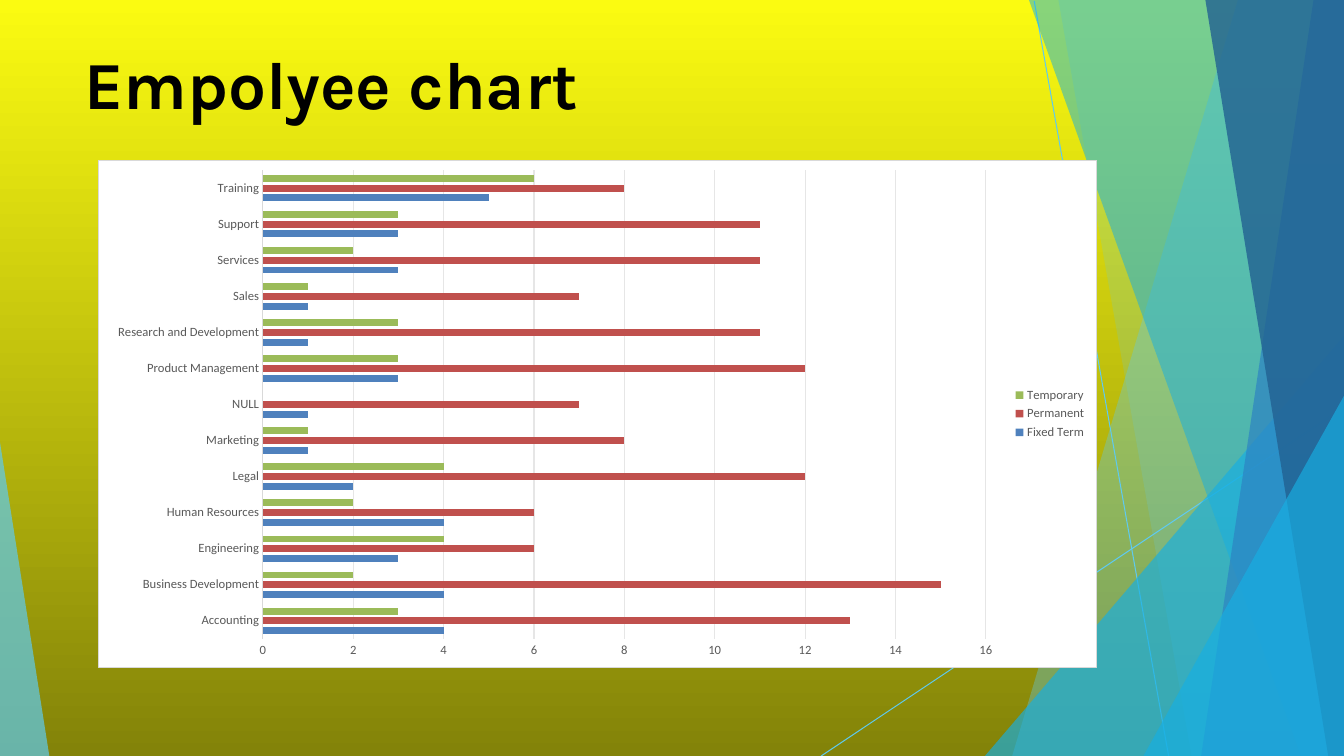
from dataclasses import dataclass

import pptx
import pptx.chart.data
import pptx.dml.color
import pptx.enum.chart
import pptx.enum.shapes
import pptx.enum.text
import pptx.oxml
import pptx.oxml.ns
import pptx.util
from lxml import etree

RGB = pptx.dml.color.RGBColor
PX = 9525  # EMU per px, 96 px to the inch
W, H = 1280, 720

BLACK = RGB(0x00, 0x00, 0x00)
BRIGHT_YELLOW = RGB(0xFB, 0xFB, 0x11)
OLIVE = RGB(0x83, 0x83, 0x09)
SKY = RGB(0x5F, 0xCA, 0xEE)
CYAN = RGB(0x17, 0xAF, 0xE3)
BLUE = RGB(0x2D, 0x83, 0xC3)
NAVY = RGB(0x22, 0x61, 0x92)
GREY_TEXT = RGB(0x59, 0x59, 0x59)
AXIS_GREY = RGB(0xD9, 0xD9, 0xD9)
GRID_GREY = RGB(0xE6, 0xE6, 0xE6)
BAR_BLUE = RGB(0x4F, 0x81, 0xBD)
BAR_RED = RGB(0xC0, 0x50, 0x4D)
BAR_GREEN = RGB(0x9B, 0xBB, 0x59)


@dataclass
class Ray:
    start: tuple[int, int]
    end: tuple[int, int]


@dataclass
class Facet:
    points: list[tuple[int, int]]
    color: RGB
    opacity: int


@dataclass
class Series:
    name: str
    color: RGB
    values: list[int | None]


def right_facet(top: int, bottom: int, color: RGB, opacity: int) -> Facet:
    """Full-height facet between a slanted edge and the right side of the slide."""
    return Facet([(W, 0), (top, 0), (bottom, H), (W, H)], color, opacity)


RAYS = [Ray((985, 1), (1113, H)), Ray((W, 388), (782, H))]
FACETS = [
    right_facet(1179, 964, SKY, 36),
    right_facet(1008, 1135, SKY, 20),
    Facet([(W, 320), (938, H), (W, H)], CYAN, 66),
    right_facet(980, 1239, CYAN, 50),
    right_facet(1251, 1144, BLUE, 70),
    right_facet(1148, 1265, NAVY, 80),
    Facet([(W, 377), (1089, H), (W, H)], CYAN, 66),
    Facet([(0, 421), (0, H), (47, H)], SKY, 70),
]
DEPARTMENTS = [
    "Accounting", "Business Development", "Engineering", "Human Resources",
    "Legal", "Marketing", "NULL", "Product Management",
    "Research and Development", "Sales", "Services", "Support", "Training",
]
SERIES = [
    Series("Fixed Term", BAR_BLUE, [4, 4, 3, 4, 2, 1, 1, 3, 1, 1, 3, 3, 5]),
    Series("Permanent", BAR_RED, [13, 15, 6, 6, 12, 8, 7, 12, 11, 7, 11, 11, 8]),
    Series("Temporary", BAR_GREEN, [3, 2, 4, 2, 4, 1, None, 3, 3, 1, 2, 3, 6]),
]


def px(n: int) -> pptx.util.Emu:
    return pptx.util.Emu(n * PX)


def set_line(line, color: RGB) -> None:
    line.color.rgb = color
    line.width = pptx.util.Pt(0.75)


def set_font(font, size: int, color: RGB, name: str) -> None:
    font.size = pptx.util.Pt(size)
    font.color.rgb = color
    font.name = name


def paint_background(s) -> None:
    fill = s.background.fill
    fill.gradient()
    fill.gradient_angle = 270
    for stop, color in zip(fill.gradient_stops, (BRIGHT_YELLOW, OLIVE)):
        stop.color.rgb = color


def draw_ray(s, ray: Ray) -> None:
    cx = s.shapes.add_connector(
        pptx.enum.shapes.MSO_CONNECTOR.STRAIGHT, *map(px, ray.start + ray.end))
    set_line(cx.line, SKY)
    etree.SubElement(cx._element.spPr, pptx.oxml.ns.qn("a:effectLst"))


def draw_facet(s, facet: Facet) -> None:
    first, *rest = facet.points
    builder = s.shapes.build_freeform(*first, scale=PX)
    builder.add_line_segments(rest, close=True)
    sp = builder.convert_to_shape()
    sp.shadow.inherit = False
    sp.line.fill.background()
    sp.fill.solid()
    sp.fill.fore_color.rgb = facet.color
    clr = sp._element.spPr.find(".//" + pptx.oxml.ns.qn("a:srgbClr"))
    etree.SubElement(clr, pptx.oxml.ns.qn("a:alpha"), val=str(facet.opacity * 1000))


def write_title(s) -> None:
    sp = s.shapes.title
    s.shapes._spTree.append(sp._element)  # in front of the facets
    sp.left, sp.top, sp.width, sp.height = map(px, (80, 40, 1121, 78))
    tf = sp.text_frame
    tf.margin_left = tf.margin_top = tf.margin_right = tf.margin_bottom = 0
    tf.vertical_anchor = pptx.enum.text.MSO_ANCHOR.TOP
    tf.auto_size = pptx.enum.text.MSO_AUTO_SIZE.SHAPE_TO_FIT_TEXT
    p = tf.paragraphs[0]
    p.alignment = pptx.enum.text.PP_ALIGN.LEFT
    r = p.add_run()
    r.text = "Empolyee chart"
    set_font(r.font, 48, BLACK, "Karla")
    r.font.bold = True


def frame_chart(chart) -> None:
    """Give the chart a white, thinly bordered area and a fixed plot area."""
    ns = pptx.oxml.ns.nsdecls("c", "a")
    area = pptx.oxml.parse_xml(
        f'<c:spPr {ns}><a:solidFill><a:srgbClr val="FFFFFF"/></a:solidFill>'
        f'<a:ln w="9525"><a:solidFill><a:srgbClr val="{AXIS_GREY}"/></a:solidFill>'
        '</a:ln></c:spPr>')
    chart._chartSpace.chart.addnext(area)
    plot_area = chart._chartSpace.chart.plotArea
    for old in plot_area.findall(pptx.oxml.ns.qn("c:layout")):
        plot_area.remove(old)
    plot_area.insert(0, pptx.oxml.parse_xml(
        f'<c:layout {ns}><c:manualLayout><c:layoutTarget val="inner"/>'
        '<c:xMode val="edge"/><c:yMode val="edge"/><c:x val="0.165"/>'
        '<c:y val="0.02"/><c:w val="0.724"/><c:h val="0.924"/>'
        '</c:manualLayout></c:layout>'))


def draw_chart(s) -> None:
    data = pptx.chart.data.CategoryChartData()
    data.categories = DEPARTMENTS
    for series in SERIES:
        data.add_series(series.name, series.values)
    chart = s.shapes.add_chart(
        pptx.enum.chart.XL_CHART_TYPE.BAR_CLUSTERED,
        *map(px, (93, 152, 952, 484)), data).chart
    set_font(chart.font, 10, BLACK, "Calibri")
    chart.has_title = False
    frame_chart(chart)

    plot = chart.plots[0]
    plot.gap_width = 140
    plot.overlap = -40
    plot.vary_by_categories = False
    for bars, series in zip(plot.series, SERIES):
        bars.format.fill.solid()
        bars.format.fill.fore_color.rgb = series.color
        bars.invert_if_negative = False

    for axis in (chart.category_axis, chart.value_axis):
        axis.major_tick_mark = pptx.enum.chart.XL_TICK_MARK.NONE
        axis.minor_tick_mark = pptx.enum.chart.XL_TICK_MARK.NONE
        set_font(axis.tick_labels.font, 9, GREY_TEXT, "Calibri")
    set_line(chart.category_axis.format.line, AXIS_GREY)
    values = chart.value_axis
    values.minimum_scale, values.maximum_scale, values.major_unit = 0, 16, 2
    values.format.line.fill.background()
    set_line(values.major_gridlines.format.line, GRID_GREY)

    chart.has_legend = True
    chart.legend.position = pptx.enum.chart.XL_LEGEND_POSITION.RIGHT
    chart.legend.include_in_layout = False
    set_font(chart.legend.font, 9, GREY_TEXT, "Calibri")


def main() -> None:
    prs = pptx.Presentation()
    prs.slide_width, prs.slide_height = px(W), px(H)
    s = prs.slides.add_slide(prs.slide_layouts[5])
    paint_background(s)
    for ray in RAYS:
        draw_ray(s, ray)
    for facet in FACETS:
        draw_facet(s, facet)
    write_title(s)
    draw_chart(s)
    prs.save("out.pptx")


if __name__ == "__main__":
    main()
